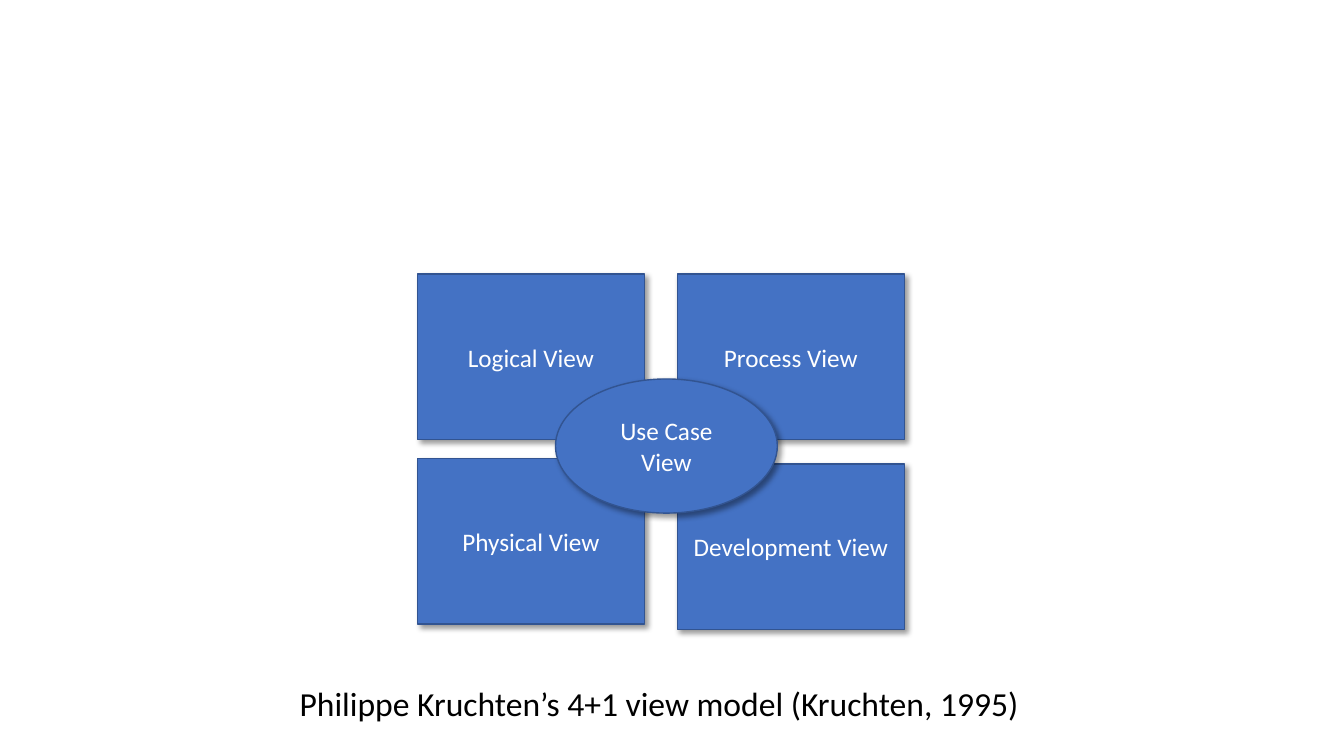
import pptx
import pptx.dml.color
import pptx.enum.shapes
import pptx.enum.text
import pptx.oxml
import pptx.oxml.ns
import pptx.util
from dataclasses import dataclass

Cm = pptx.util.Cm
Pt = pptx.util.Pt
Shapes = pptx.enum.shapes.MSO_SHAPE
Anchor = pptx.enum.text.MSO_ANCHOR

# Content: each view with its column, row and extra drop in cm
CAPTION = "Philippe Kruchten’s 4+1 view model (Kruchten, 1995)"
OUTER_VIEWS = [
    ("Logical View", 0, 0, 0),
    ("Process View", 1, 0, 0),
    ("Physical View", 0, 1, 0),
    ("Development View", 1, 1, 0.13),
]
CENTRAL_VIEW = "Use Case View"

# Layout in cm: left, top, width, height
SLIDE_SIZE = (33.87, 19.05)
CAPTION_BOX = (3.91, 17.2, 25.4, 1.85)
CENTRAL_BOX = (14, 9.55, 5.59, 3.38)
GRID_LEFT, GRID_TOP = 10.52, 6.91
VIEW_WIDTH, VIEW_HEIGHT = 5.72, 4.17
COLUMN_STEP, ROW_STEP = 6.55, 4.65


@dataclass
class Theme:
    font: str = "Calibri"
    fill: str = "4472C4"
    outline: str = "325491"
    light_text: str = "FFFFFF"
    dark_text: str = "000000"
    view_size: int = 18
    caption_size: int = 24


theme = Theme()


def rgb(value):
    return pptx.dml.color.RGBColor.from_string(value)


def write_text(shape, text, size, color):
    frame = shape.text_frame
    frame.word_wrap = True
    paragraph = frame.paragraphs[0]
    paragraph.alignment = pptx.enum.text.PP_ALIGN.CENTER
    run = paragraph.add_run()
    run.text = text
    run.font.name = theme.font
    run.font.size = Pt(size)
    run.font.color.rgb = rgb(color)
    return paragraph


def add_shadow(shape):
    shape.shadow.inherit = False
    effects = shape._element.spPr.find(pptx.oxml.ns.qn("a:effectLst"))
    effects.append(pptx.oxml.parse_xml(
        f'<a:outerShdw {pptx.oxml.ns.nsdecls("a")} blurRad="{Pt(4)}" dist="{Pt(3)}" '
        'dir="2700000" algn="tl" rotWithShape="0">'
        '<a:srgbClr val="000000"><a:alpha val="40000"/></a:srgbClr></a:outerShdw>'))


def add_view(slide, kind, box, text):
    shape = slide.shapes.add_shape(kind, *map(Cm, box))
    shape.fill.solid()
    shape.fill.fore_color.rgb = rgb(theme.fill)
    shape.line.color.rgb = rgb(theme.outline)
    shape.line.width = Pt(1)
    add_shadow(shape)
    shape.text_frame.vertical_anchor = Anchor.MIDDLE
    write_text(shape, text, theme.view_size, theme.light_text)


def add_caption(slide):
    caption = slide.placeholders[1]
    caption.left, caption.top, caption.width, caption.height = map(Cm, CAPTION_BOX)
    caption.text_frame.auto_size = pptx.enum.text.MSO_AUTO_SIZE.NONE
    caption.text_frame.vertical_anchor = Anchor.TOP
    paragraph = write_text(caption, CAPTION, theme.caption_size, theme.dark_text)
    paragraph.line_spacing = 0.9
    paragraph.space_before = Pt(10)


def main():
    presentation = pptx.Presentation()
    presentation.slide_width, presentation.slide_height = map(Cm, SLIDE_SIZE)

    # The slide has a subtitle but no title
    slide = presentation.slides.add_slide(presentation.slide_layouts[0])
    title = slide.shapes.title._element
    title.getparent().remove(title)
    add_caption(slide)

    # Four outer views in a grid, then the central one on top
    for text, column, row, drop in OUTER_VIEWS:
        box = (GRID_LEFT + column * COLUMN_STEP, GRID_TOP + row * ROW_STEP + drop,
               VIEW_WIDTH, VIEW_HEIGHT)
        add_view(slide, Shapes.RECTANGLE, box, text)
    add_view(slide, Shapes.OVAL, CENTRAL_BOX, CENTRAL_VIEW)

    presentation.save("out.pptx")


if __name__ == "__main__":
    main()
